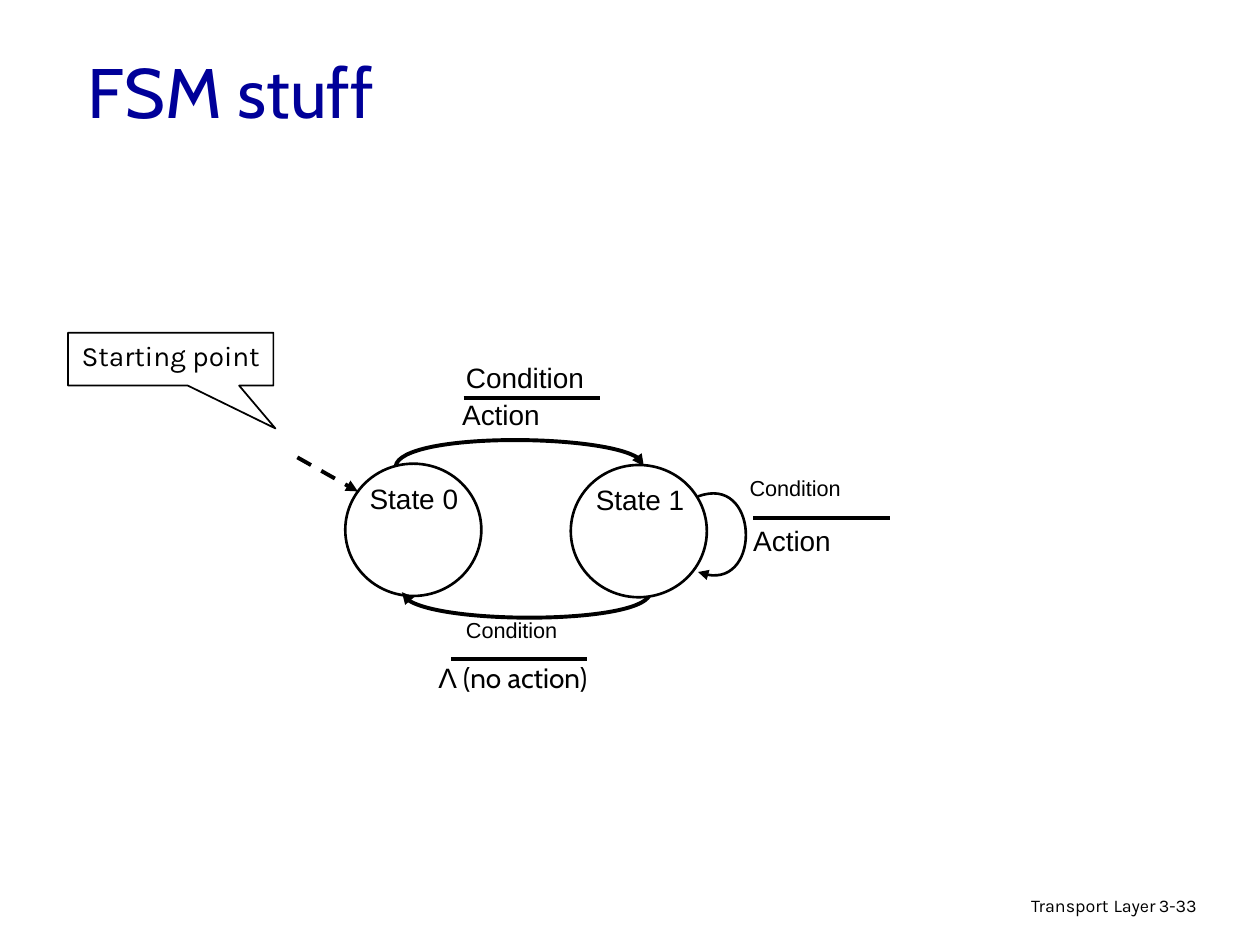
from lxml import etree
from pptx import Presentation, util as u
from pptx.dml.color import RGBColor
from pptx.enum import dml, shapes, text
from pptx.oxml import ns

COLOURS = {"ink": "000000", "title": "000099", "paper": "FFFFFF"}
COLUMNS, ROWS = 100, 75
CELL = u.Inches(10) // COLUMNS
RULE_WIDTH = 10.8
LEFT, CENTRE, RIGHT = text.PP_ALIGN.LEFT, text.PP_ALIGN.CENTER, text.PP_ALIGN.RIGHT


def cells(*counts):
    """Turn grid counts into slide lengths."""
    return [u.Emu(round(count * CELL)) for count in counts]


def within(box, part):
    """Move a part, placed relative to a box, onto the slide grid."""
    return (box[0] + part[0], box[1] + part[1], *part[2:])


def write(frame, runs, align=LEFT, spacing=1.0, wrap=True, anchor=text.MSO_ANCHOR.TOP):
    """Write one paragraph of (words, size, font, colour) runs."""
    frame.word_wrap = wrap
    frame.vertical_anchor = anchor
    line = frame.paragraphs[0]
    line.alignment = align
    line.line_spacing = spacing
    for words, size, font, colour in runs:
        run = line.add_run()
        run.text = words
        run.font.size = u.Pt(size)
        run.font.name = font
        run.font.color.rgb = RGBColor.from_string(COLOURS[colour])


def label(slide, box, runs, **style):
    """Add a text box holding one paragraph."""
    holder = slide.shapes.add_textbox(*cells(*box))
    write(holder.text_frame, runs, **style)
    return holder


def outline(part, width, arrow=None, dashed=False):
    """Draw a part's line in ink, with an optional arrowhead end."""
    part.line.color.rgb = RGBColor.from_string(COLOURS["ink"])
    part.line.width = u.Pt(width)
    if dashed:
        part.line.dash_style = dml.MSO_LINE.DASH
    if arrow:
        etree.SubElement(part.line._get_or_add_ln(), ns.qn(f"a:{arrow}"), type="triangle")


def straight(slide, start, end, **style):
    """Add a straight connector without a shadow."""
    connector = slide.shapes.add_connector(
        shapes.MSO_CONNECTOR.STRAIGHT, *cells(*start, *end))
    outline(connector, 2.25, **style)
    etree.SubElement(connector._element.spPr, ns.qn("a:effectLst"))


def arc(slide, start, controls, width, arrow):
    """Add a cubic curve that ends in an arrowhead."""
    builder = slide.shapes.build_freeform(*cells(*start))
    builder.add_line_segments([cells(*point) for point in controls], close=False)
    curve = builder.convert_to_shape()
    curve.shadow.inherit = False
    curve.fill.background()
    outline(curve, width, arrow)
    route = next(curve._element.iter(ns.qn("a:path")))
    bezier = etree.SubElement(route, ns.qn("a:cubicBezTo"))
    for segment in route.findall(ns.qn("a:lnTo")):
        bezier.append(segment[0])
        route.remove(segment)


def place_title(slide, box):
    """Place the slide title."""
    label(slide, box, [("FSM stuff", 40, "Cabin", "title")], anchor=text.MSO_ANCHOR.MIDDLE)


def place_footer(slide, box):
    """Place the chapter name and the page number."""
    chapter = [("Transport", 10.2, "Karla", "ink"), (" ", 11.9, "Karla", "ink"),
               ("Layer", 10.2, "Karla", "ink")]
    label(slide, within(box, (0, 0, 31.7, 3.1)), chapter, align=RIGHT, spacing=0.9)
    label(slide, within(box, (30, 0.2, 7.4, 3)),
          [("3-33", 10.2, "Karla", "ink")], spacing=0.9)


def place_state(slide, box, name, name_part):
    """Place a state circle and its name."""
    circle = slide.shapes.add_shape(shapes.MSO_SHAPE.OVAL, *cells(*box))
    circle.shadow.inherit = False
    circle.fill.solid()
    circle.fill.fore_color.rgb = RGBColor.from_string(COLOURS["paper"])
    outline(circle, 1.5)
    label(slide, within(box, name_part), [(name, 16, "Arial", "ink")], align=CENTRE)


def place_transition(slide, box, condition, rule, action, size=12.4, spacing=0.8):
    """Place a condition above a rule and return the box of the action below it."""
    label(slide, within(box, condition), [("Condition", size, "Arial", "ink")],
          spacing=spacing)
    start = within(box, rule)
    straight(slide, start, (start[0] + RULE_WIDTH, start[1]))
    return within(box, action)


def place_start(slide, box):
    """Place the starting point callout and its dashed arrow."""
    callout = slide.shapes.add_shape(
        shapes.MSO_SHAPE.RECTANGULAR_CALLOUT, *cells(*within(box, (0, 0, 16.3, 4.2))))
    callout.adjustments[0], callout.adjustments[1] = 0.51, 1.31
    callout.shadow.inherit = False
    callout.fill.background()
    outline(callout, 1)
    write(callout.text_frame, [("Starting point", 16, "Karla", "ink")],
          align=CENTRE, wrap=False)
    straight(slide, within(box, (18.2, 9.9)), within(box, (23, 12.6)),
             arrow="tailEnd", dashed=True)


def place_machine(slide, box):
    """Place both states and the three transitions between them."""
    action = [("Action", 16, "Arial", "ink")]
    no_action = [("Λ ", 16, "Arial", "ink"), ("(no action)", 16, "Cabin", "ink")]
    place_state(slide, within(box, (0, 8.7, 10.8, 10.5)), "State 0", (-1.1, 0.9, 13.1, 6.7))

    forth = place_transition(slide, within(box, (8.3, 0)), (0.3, 0, 12.4, 4.7),
                             (1.1, 3.5), (0, 3, 12.7, 4.4), size=16, spacing=1.0)
    label(slide, forth, action)
    back = place_transition(slide, within(box, (5.5, 20.8)), (3.1, 0, 13.4, 3.2),
                            (2.9, 3.4), (0, 3, 15.6, 3.7))
    label(slide, back, no_action, align=CENTRE, wrap=False)
    loop = place_transition(slide, within(box, (31.1, 9.5)), (0, 0, 22.8, 3.1),
                            (1.3, 3.5), (0.3, 3.5, 19.3, 4.4))
    label(slide, loop, action)

    curves = [
        ((4, 8.9), [(4.4, 6.2), (23.7, 6.3), (23.7, 8.9)], 2.25, "tailEnd"),
        ((4.5, 18.9), [(4.9, 21.6), (24.2, 21.4), (24.2, 18.9)], 2.25, "headEnd"),
        ((28, 11.3), [(32.8, 9.5), (33.1, 19.3), (28, 17.3)], 1.5, "tailEnd"),
    ]
    for start, controls, width, arrow in curves:
        arc(slide, within(box, start), [within(box, point) for point in controls],
            width, arrow)
    place_state(slide, within(box, (17.9, 8.8, 10.8, 10.5)), "State 1", (-0.4, 0.9, 11.8, 6.7))


def main():
    """Build and save the slide."""
    deck = Presentation()
    deck.slide_width, deck.slide_height = cells(COLUMNS, ROWS)
    slide = deck.slides.add_slide(deck.slide_layouts[6])
    place_footer(slide, (61, 70.5, 37.4, 3.2))
    place_title(slide, (6, 1.5, 85, 11.3))
    place_machine(slide, (27.4, 28.1, 53.9, 27.5))
    place_start(slide, (5.4, 26.4, 23, 12.6))
    deck.save("out.pptx")


if __name__ == "__main__":
    main()
